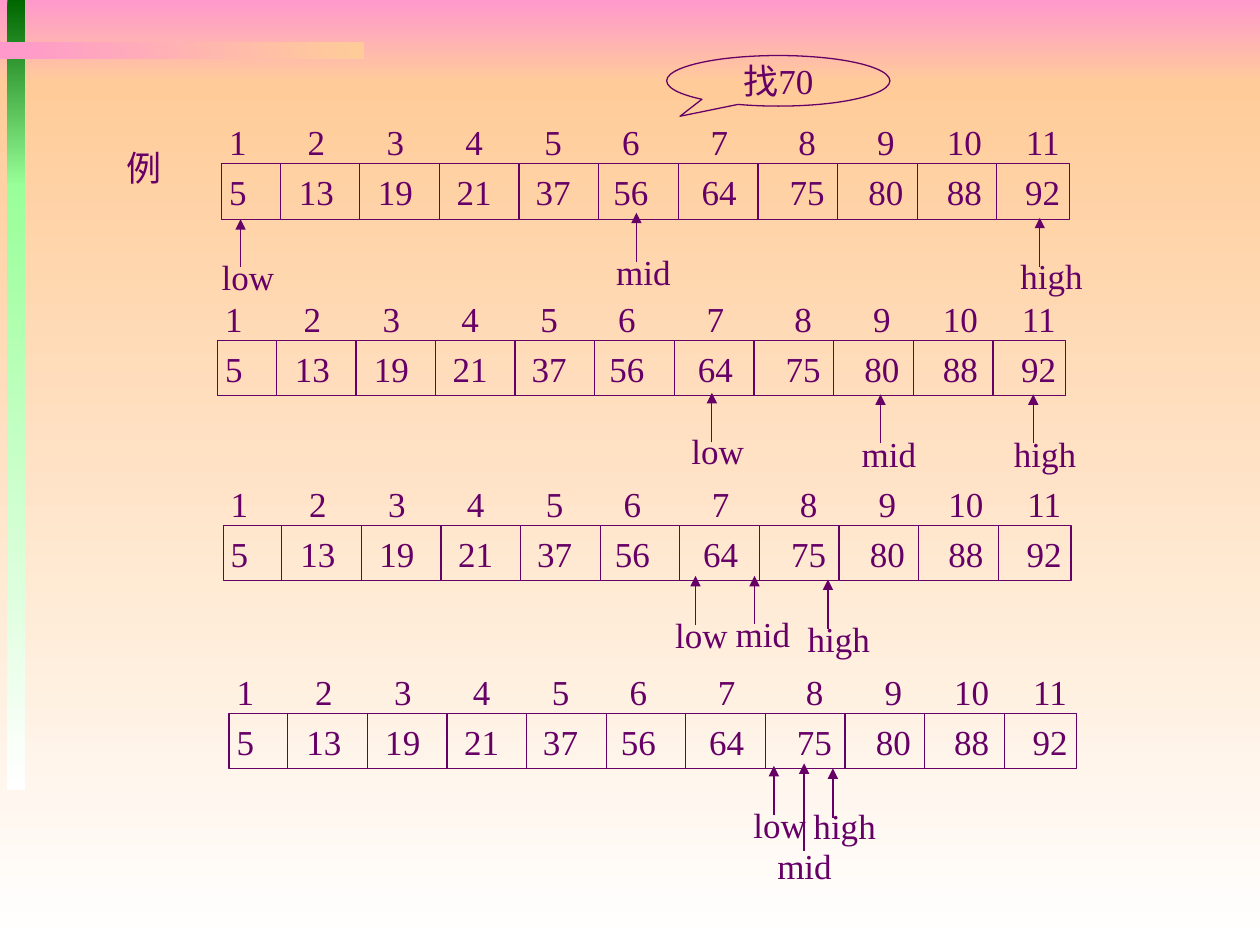
import pptx
import pptx.dml.color
import pptx.enum.shapes
import pptx.enum.text
import pptx.util
from lxml import etree

Cm, Pt = pptx.util.Cm, pptx.util.Pt
Rgb = pptx.dml.color.RGBColor.from_string
Kind = pptx.enum.shapes.MSO_SHAPE
Line = pptx.enum.shapes.MSO_CONNECTOR.STRAIGHT
Align = pptx.enum.text.PP_ALIGN
Mid = pptx.enum.text.MSO_ANCHOR.MIDDLE
NS = "http://schemas.openxmlformats.org/drawingml/2006/main"

theme = {
    "font": "Times New Roman", "size": Pt(20), "ink": Rgb("660066"), "rule": Pt(0.75),
    "pink": Rgb("FF99CC"), "peach": Rgb("FFCC99"), "white": Rgb("FFFFFF"),
    "green": Rgb("006600"), "mint": Rgb("99FF99"),
}

deck = pptx.Presentation()
deck.slide_width, deck.slide_height = Cm(25.4), Cm(19.05)
slide = deck.slides.add_slide(deck.slide_layouts[6])
shapes = slide.shapes


def write(box, text, inset=0.25, stops=()):
    """Put one left-aligned line in a box, with centred tab stops."""
    frame = box.text_frame
    frame.word_wrap = True
    frame.margin_left, frame.margin_right = Cm(inset), 0
    para = frame.paragraphs[0]
    para.text = text
    para.alignment = Align.LEFT
    if stops:
        tabs = etree.SubElement(para._p.get_or_add_pPr(), f"{{{NS}}}tabLst")
        for stop in stops:
            etree.SubElement(tabs, f"{{{NS}}}tab", pos=str(Cm(stop)), algn="ctr")
    para.font.name, para.font.size = theme["font"], theme["size"]
    para.font.color.rgb = theme["ink"]
    return para


def draw(x1, y1, x2, y2, arrow=False):
    """Draw a thin line, with an arrowhead at its end if asked."""
    line = shapes.add_connector(Line, Cm(x1), Cm(y1), Cm(x2), Cm(y2))
    line.line.color.rgb, line.line.width = theme["ink"], theme["rule"]
    if arrow:
        etree.SubElement(line.line._get_or_add_ln(), f"{{{NS}}}tailEnd", type="triangle")
    etree.SubElement(line._element.spPr, f"{{{NS}}}effectLst")


# Backdrop and side bars: left, top, width, height, first and last colour, angle
bands = [
    (0, 0, 25.4, 1.7, "pink", "peach", 270),
    (0, 1.7, 25.4, 17.35, "peach", "white", 270),
    (0.15, 0, 0.36, 3.76, "green", "mint", 270),
    (0.15, 3.71, 0.36, 12.22, "mint", "white", 270),
    (0, 0.84, 7.34, 0.36, "pink", "peach", 0),
]
for x, y, w, h, first, last, angle in bands:
    band = shapes.add_shape(Kind.RECTANGLE, Cm(x), Cm(y), Cm(w), Cm(h))
    band.shadow.inherit = False
    band.line.fill.background()
    band.fill.gradient()
    band.fill.gradient_angle = angle
    for stop, name in zip(band.fill.gradient_stops, (first, last)):
        stop.color.rgb = theme[name]

# Heading label and the search key
write(shapes.add_textbox(Cm(2.31), Cm(2.82), Cm(1.37), Cm(1.12)), "例")
key = shapes.add_shape(Kind.OVAL_CALLOUT, Cm(13.44), Cm(1.12), Cm(4.5), Cm(1.02))
key.adjustments[0], key.adjustments[1] = -0.44, 0.7
key.shadow.inherit = False
key.fill.background()
key.line.color.rgb, key.line.width = theme["ink"], theme["rule"]
key.text_frame.vertical_anchor = Mid
write(key, "找70", inset=0).alignment = Align.CENTER

# Search steps: array corner, then word, arrow x, tip, tail, label corner
steps = [
    (4.47, 3.3, [("low", 4.85, 4.42, 5.38, 4.22, 5.03),
                 ("high", 20.96, 4.39, 5.38, 20.32, 5.0),
                 ("mid", 12.83, 4.29, 5.28, 12.17, 4.93)]),
    (4.39, 6.86, [("low", 14.35, 7.92, 8.92, 13.69, 8.53),
                  ("high", 20.83, 7.95, 8.94, 20.19, 8.59),
                  ("mid", 17.75, 7.95, 8.94, 17.12, 8.59)]),
    (4.5, 10.59, [("low", 14.02, 11.61, 12.6, 13.36, 12.24),
                  ("high", 16.69, 11.68, 12.67, 16.03, 12.32),
                  ("mid", 15.21, 11.61, 12.57, 14.58, 12.22)]),
    (4.62, 14.38, [("low", 15.6, 15.44, 16.43, 14.94, 16.08),
                   ("high", 16.79, 15.49, 16.48, 16.15, 16.1),
                   ("mid", 16.21, 15.39, 17.15, 15.42, 16.89)]),
]
values = [5, 13, 19, 21, 37, 56, 64, 75, 80, 88, 92]
stops = [1.76, 3.35, 4.94, 6.53, 8.1, 9.88, 11.65, 13.24, 14.82, 16.4]
wide, high = 17.09, 1.12

for left, top, marks in steps:
    # Index row above the array
    index = shapes.add_textbox(Cm(left - 0.1), Cm(top - 0.99), Cm(17.3), Cm(high))
    write(index, "\t".join(str(n + 1) for n in range(len(values))), stops=stops)

    # Array cells
    array = shapes.add_shape(Kind.RECTANGLE, Cm(left), Cm(top), Cm(wide), Cm(high))
    array.shadow.inherit = False
    array.fill.background()
    array.line.color.rgb, array.line.width = theme["ink"], theme["rule"]
    array.text_frame.vertical_anchor = Mid
    write(array, "\t".join(map(str, values)), inset=0.15, stops=stops)
    for n in range(len(values) - 1):
        x = left + 1.18 + 1.605 * n
        draw(x, top, x, top + high)

    # Pointers below the array
    for word, x, tip, tail, lx, ly in marks:
        draw(x, tail, x, tip, arrow=True)
        write(shapes.add_textbox(Cm(lx), Cm(ly), Cm(1.75), Cm(high)), word)

deck.save("out.pptx")
